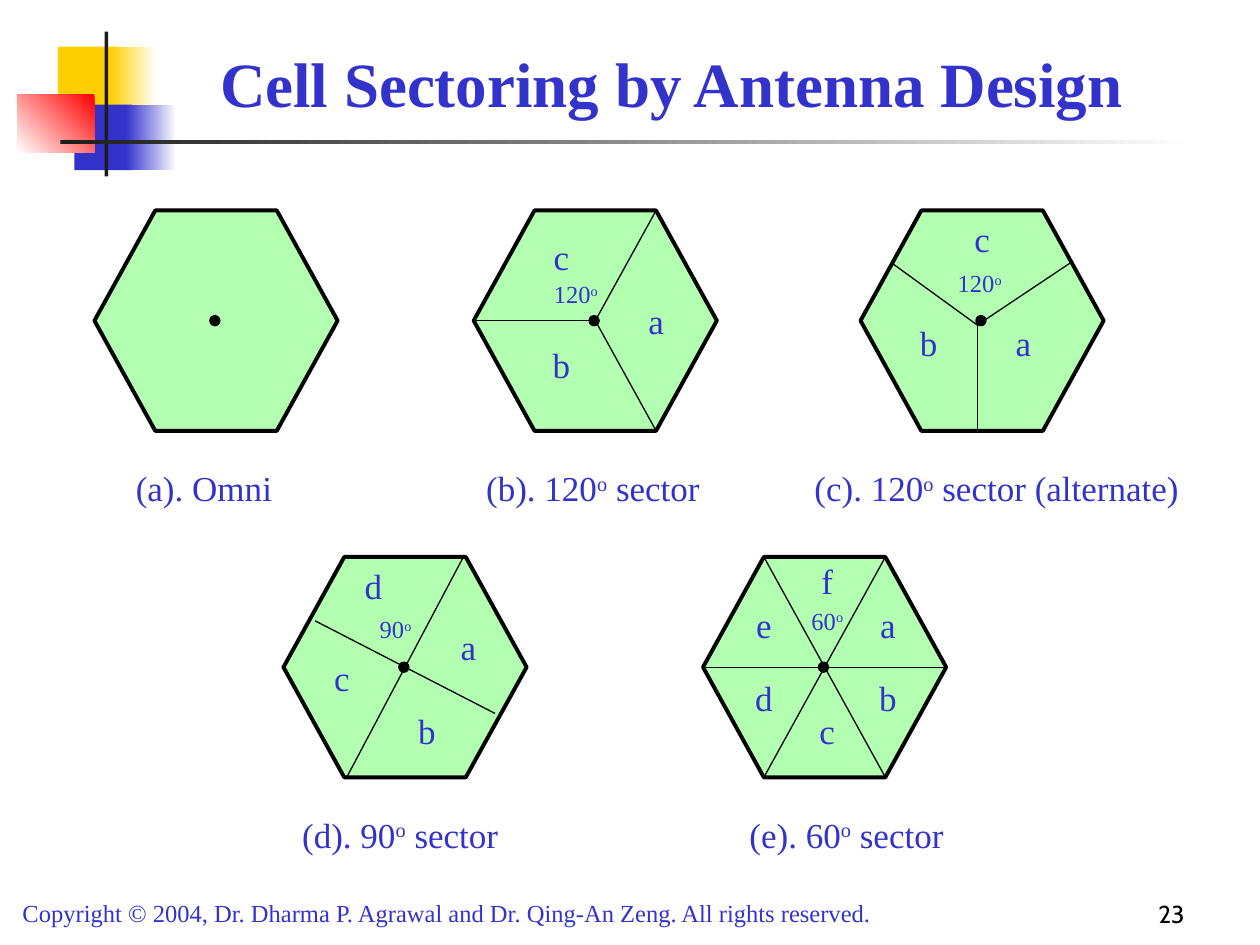
from lxml.etree import SubElement
from pptx import Presentation
from pptx.dml.color import RGBColor
from pptx.enum.shapes import MSO_CONNECTOR, MSO_SHAPE
from pptx.enum.text import MSO_ANCHOR, PP_ALIGN
from pptx.oxml.ns import qn
from pptx.util import Inches, Pt

BLUE, BLACK, GREEN, DARK = "3333CC", "000000", "66FF66", "1C1C1C"
SERIF = "Times New Roman"
COLS = {"left": 0.75, "mid": 3.76, "right": 6.83, "low left": 2.25, "low right": 5.58}
ROWS = (1.67, 4.42)
WIDE, HIGH = 1.93, 1.75

# Spokes, labels and angle marks are placed in shares of the hexagon.
CELLS = [
    dict(col="left", row=0, name="(a). Omni", mid=0.45, width=1.75),
    dict(col="mid", row=0, name="(b). 120|o| sector", mid=0.49, width=2.25,
         spokes=[(0, 0.5, 0.5, 0.5), (0.5, 0.5, 0.75, 0), (0.5, 0.5, 0.75, 1)],
         labels={"a": (0.75, 0.5), "b": (0.36, 0.7), "c": (0.36, 0.21)},
         angle=("120|o", 0.46, 0.38, 0.7)),
    dict(col="right", row=0, name="(c). 120|o| sector (alternate)", mid=0.56, width=3.33,
         spokes=[(0.13, 0.24, 0.48, 0.52), (0.48, 0.52, 0.86, 0.24), (0.48, 0.48, 0.48, 1)],
         labels={"a": (0.67, 0.6), "b": (0.28, 0.6), "c": (0.5, 0.13)},
         angle=("120|o", 0.53, 0.33, 0.7)),
    dict(col="low left", row=1, name="(d). 90|o| sector", mid=0.48, width=2,
         spokes=[(0.13, 0.29, 0.87, 0.71), (0.26, 1, 0.74, 0)],
         labels={"a": (0.76, 0.41), "b": (0.59, 0.79), "c": (0.24, 0.55), "d": (0.37, 0.13)},
         angle=("90|o", 0.49, 0.33, 0.56)),
    dict(col="low right", row=1, name="(e). 60|o| sector", mid=0.59, width=2.25,
         spokes=[(0, 0.5, 1, 0.5), (0.25, 1, 0.75, 0), (0.25, 0, 0.75, 1)],
         labels={"a": (0.76, 0.31), "b": (0.76, 0.64), "c": (0.51, 0.79),
                 "d": (0.25, 0.64), "e": (0.25, 0.31), "f": (0.51, 0.11)},
         angle=("60|o", 0.54, 0.29, 0.56)),
]


def tint(code):
    return RGBColor.from_string(code)


def write(frame, text, size=20, color=BLUE, font=SERIF, bold=False,
          align=PP_ALIGN.CENTER, anchor=MSO_ANCHOR.TOP):
    """Fill a text frame; every second part between bars is raised."""
    frame.word_wrap = True
    frame.vertical_anchor = anchor
    para = frame.paragraphs[0]
    para.alignment = align
    for i, part in enumerate(text.split("|")):
        if not part:
            continue
        run = para.add_run()
        run.text = part
        run.font.size, run.font.name, run.font.bold = Pt(size), font, bold
        run.font.color.rgb = tint(color)
        if i % 2:
            run.font._element.set("baseline", "30000")


def note(slide, text, x, y, w, h, **style):
    box = slide.shapes.add_textbox(*map(Inches, (x, y, w, h)))
    write(box.text_frame, text, **style)


def shape(slide, kind, x, y, w, h, fill, line=None, fade=None):
    """Add a preset shape; fade is the angle of a blend to white."""
    item = slide.shapes.add_shape(kind, *map(Inches, (x, y, w, h)))
    item.shadow.inherit = False
    if fade is None:
        item.fill.solid()
        item.fill.fore_color.rgb = tint(fill)
    else:
        item.fill.gradient()
        item.fill.gradient_angle = fade
        for stop, code in zip(item.fill.gradient_stops, (fill, "FFFFFF")):
            stop.color.rgb = tint(code)
    if line:
        item.line.color.rgb = tint(BLACK)
        item.line.width = Pt(line)
    else:
        item.line.fill.background()
    return item


def spoke(slide, *ends):
    line = slide.shapes.add_connector(MSO_CONNECTOR.STRAIGHT, *map(Inches, ends))
    line.line.color.rgb = tint(BLACK)
    line.line.width = Pt(0.75)
    SubElement(line._element.spPr, qn("a:effectLst"))


def cell(slide, col, row, name, mid, width, spokes=(), labels=None, angle=None):
    left, top = COLS[col], ROWS[row]

    def spot(x, y):
        return left + x * WIDE, top + y * HIGH

    def label(text, x, y, w, h, **style):
        cx, cy = spot(x, y)
        note(slide, text, cx - w / 2, cy - h / 2, w, h, **style)

    body = shape(slide, MSO_SHAPE.HEXAGON, left, top, WIDE, HIGH, GREEN, line=2.25)
    body.adjustments[0] = 0.276
    paint = body._element.spPr.find(qn("a:solidFill"))[0]
    SubElement(paint, qn("a:alpha")).set("val", "50000")
    for x1, y1, x2, y2 in spokes:
        spoke(slide, *spot(x1, y1), *spot(x2, y2))
    cx, cy = spot(0.495, 0.5)
    shape(slide, MSO_SHAPE.OVAL, cx - 0.04, cy - 0.04, 0.08, 0.08, BLACK, line=0.75)
    for text, (x, y) in (labels or {}).items():
        label(text, x, y, 0.42, 0.44)
    if angle:
        label(*angle, 0.34, size=14, align=PP_ALIGN.LEFT)
    label(name, mid, 1.26, width, 0.44)


def decor(slide):
    for x, y, w, h, fill, fade in [
        (0.46, 0.37, 0.48, 0.52, "FFCF01", None),
        (0.88, 0.37, 0.36, 0.52, "FFCF01", 0),
        (0.59, 0.83, 0.46, 0.52, BLUE, None),
        (1, 0.83, 0.4, 0.52, BLUE, 0),
        (0.14, 0.75, 0.61, 0.46, "FF0000", 225),
        (0.83, 0.25, 0.03, 1.15, DARK, None),
        (0.48, 1.11, 9, 0.03, DARK, 0),
    ]:
        shape(slide, MSO_SHAPE.RECTANGLE, x, y, w, h, fill, fade=fade)


def head(slide, text):
    title = slide.shapes.title
    title.left, title.top, title.width, title.height = map(Inches, (1.08, 0.17, 8.5, 0.83))
    write(title.text_frame, text, size=36, bold=True, anchor=MSO_ANCHOR.BOTTOM)


def main():
    deck = Presentation()
    deck.slide_width, deck.slide_height = Inches(10), Inches(7.5)
    slide = deck.slides.add_slide(deck.slide_layouts[5])
    decor(slide)
    head(slide, "Cell Sectoring by Antenna Design")
    for item in CELLS:
        cell(slide, **item)
    note(slide, "Copyright © 2004, Dr. Dharma P. Agrawal and Dr. Qing-An Zeng. All rights reserved.",
         0.08, 7.08, 7.58, 0.34, size=14, align=PP_ALIGN.LEFT)
    note(slide, "23", 7.42, 6.92, 2.08, 0.5, size=14, color=BLACK, font="Cabin",
         align=PP_ALIGN.RIGHT, anchor=MSO_ANCHOR.BOTTOM)
    deck.save("out.pptx")


if __name__ == "__main__":
    main()
